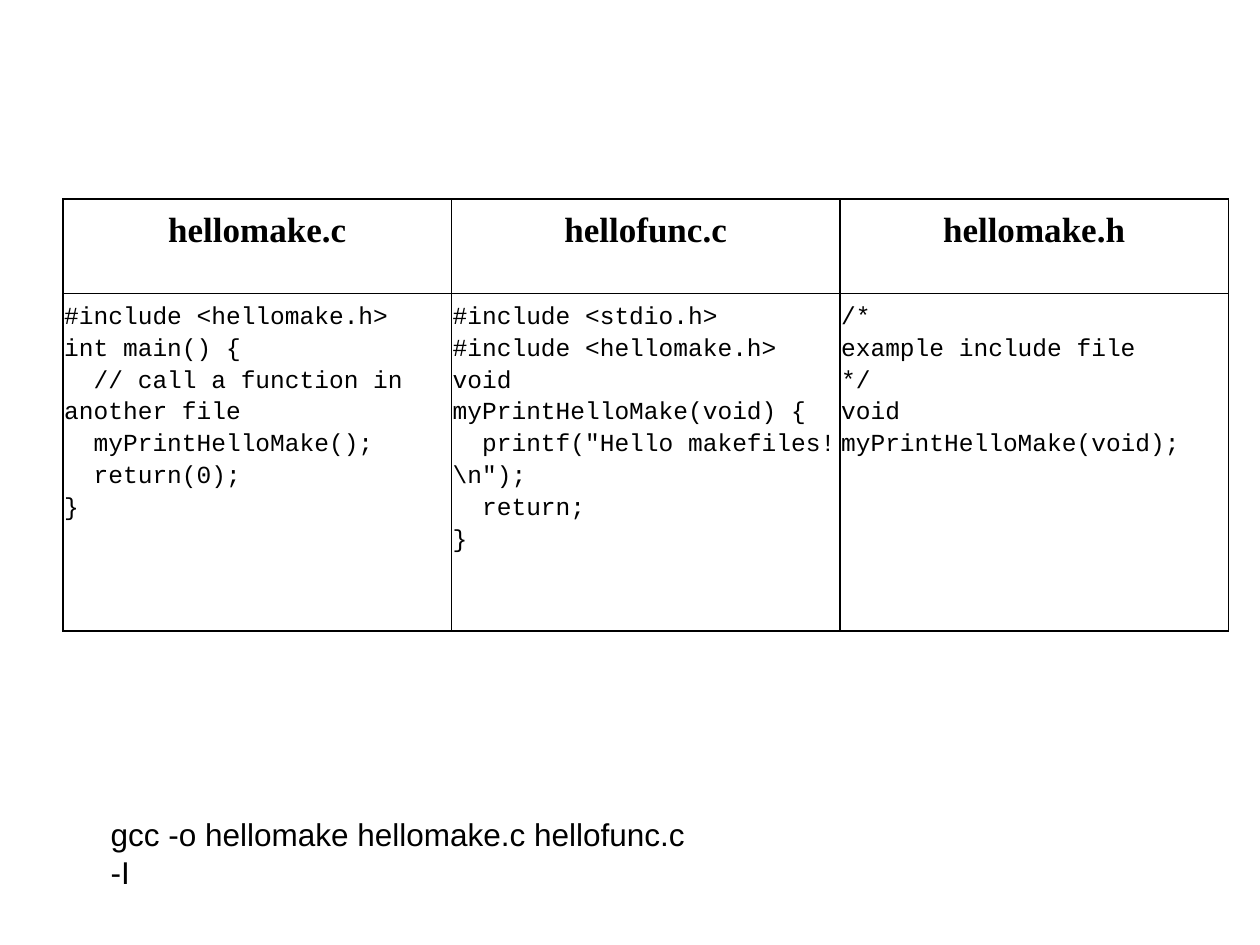
"""Build a slide with three C source files in a table and their compile command."""
from pptx import Presentation
from pptx.dml.color import RGBColor
from pptx.enum.text import MSO_ANCHOR, PP_ALIGN
from pptx.oxml import parse_xml
from pptx.oxml.ns import nsdecls
from pptx.util import Inches, Pt

FILES = {
    "hellomake.c": [
        "#include <hellomake.h>",
        "int main() {",
        "  // call a function in another file",
        "  myPrintHelloMake();",
        "  return(0);",
        "}",
    ],
    "hellofunc.c": [
        "#include <stdio.h>",
        "#include <hellomake.h>",
        "void myPrintHelloMake(void) {",
        '  printf("Hello makefiles!\\n");',
        "  return;",
        "}",
    ],
    "hellomake.h": [
        "/*",
        "example include file",
        "*/",
        "void myPrintHelloMake(void);",
    ],
}
COMMAND = "gcc -o hellomake hellomake.c hellofunc.c -I"

BLACK = RGBColor(0, 0, 0)
HEADER = {"name": "Times New Roman", "size": Pt(20), "bold": True}
CODE = {"name": "Courier New", "size": Pt(14), "bold": False}
PLAIN = {"name": "Arial", "size": Pt(18)}
MARGINS = {
    "margin_left": Inches(0.01),
    "margin_right": Inches(0.01),
    "margin_top": Inches(0.05),
    "margin_bottom": Inches(0.05),
    "vertical_anchor": MSO_ANCHOR.TOP,
}
ROW_HEIGHTS = (0.75, 2.68)
TABLE_LEFT, TABLE_TOP, TABLE_WIDTH = 0.5, 1.58, 9.25


def set_attrs(obj, values):
    for name, value in values.items():
        setattr(obj, name, value)


def add_text(p, text, font):
    r = p.add_run()
    r.text = text
    set_attrs(r.font, font)
    r.font.color.rgb = BLACK


def add_borders(cell):
    tc_pr = cell._tc.get_or_add_tcPr()
    for i, side in enumerate(("lnL", "lnR", "lnT", "lnB")):
        tc_pr.insert(i, parse_xml(
            f'<a:{side} {nsdecls("a")} w="{Pt(1)}"><a:solidFill>'
            f'<a:srgbClr val="{BLACK}"/></a:solidFill></a:{side}>'))


def fill_cell(cell, lines, font, align):
    set_attrs(cell, MARGINS)
    cell.fill.background()
    add_borders(cell)
    tf = cell.text_frame
    for i, line in enumerate(lines):
        p = tf.add_paragraph() if i else tf.paragraphs[0]
        p.alignment, p.line_spacing = align, 1.15
        add_text(p, line, font)


def main():
    prs = Presentation()
    prs.slide_width, prs.slide_height = Inches(10), Inches(7.5)
    slide = prs.slides.add_slide(prs.slide_layouts[6])

    table = slide.shapes.add_table(
        len(ROW_HEIGHTS), len(FILES), Inches(TABLE_LEFT), Inches(TABLE_TOP),
        Inches(TABLE_WIDTH), Inches(sum(ROW_HEIGHTS))).table
    table.first_row = table.horz_banding = False
    for row, height in zip(table.rows, ROW_HEIGHTS):
        row.height = Inches(height)
    for col, (name, code) in enumerate(FILES.items()):
        fill_cell(table.cell(0, col), [name], HEADER, PP_ALIGN.CENTER)
        fill_cell(table.cell(1, col), code, CODE, PP_ALIGN.LEFT)

    box = slide.shapes.add_textbox(
        Inches(0.78), Inches(6.42), Inches(4.97), Inches(0.4))
    box.text_frame.word_wrap = False
    add_text(box.text_frame.paragraphs[0], COMMAND, PLAIN)

    prs.save("out.pptx")


if __name__ == "__main__":
    main()
